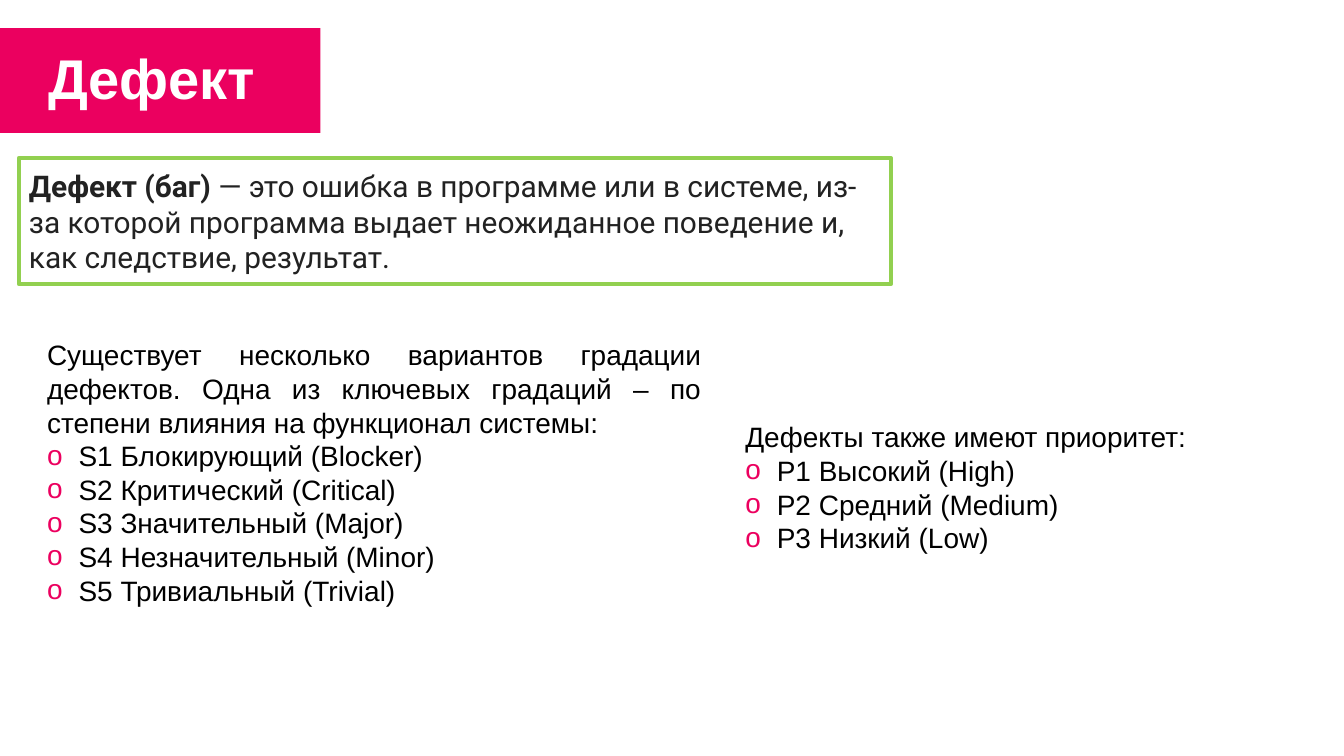
from lxml import etree
from pptx import Presentation
from pptx.dml.color import RGBColor
from pptx.enum.shapes import MSO_SHAPE
from pptx.enum.text import MSO_ANCHOR, PP_ALIGN
from pptx.oxml.ns import qn
from pptx.util import Pt

RECT = MSO_SHAPE.RECTANGLE
MIDDLE, TOP = MSO_ANCHOR.MIDDLE, MSO_ANCHOR.TOP
LEFT, JUSTIFY = PP_ALIGN.LEFT, PP_ALIGN.JUSTIFY
PX = 4572  # 200 px to the inch
PINK, BULLET = "EB005F", "EC005F"
INDENT = 47 * PX


def color(code):
    return RGBColor.from_string(code)


def write(para, text, size, font, code, bold=False):
    run = para.add_run()
    run.text = text
    run.font.size = Pt(size)
    run.font.name = font
    run.font.bold = bold
    run.font.color.rgb = color(code)


deck = Presentation()
deck.slide_width, deck.slide_height = 2000 * PX, 1125 * PX
slide = deck.slides.add_slide(deck.slide_layouts[6])
shapes = slide.shapes

# Title band
band = shapes.add_shape(RECT, -4 * PX, 42 * PX, 481 * PX, 156 * PX)
band.shadow.inherit = False
band.fill.solid()
band.fill.fore_color.rgb = color(PINK)
band.line.fill.background()

# Title
title = shapes.add_textbox(62 * PX, 37 * PX, 1432 * PX, 156 * PX)
write(title.text_frame.paragraphs[0], "Дефект", 30, "Arial", "FFFFFF", True)

# Framed definition
frame = shapes.add_shape(RECT, 28 * PX, 235 * PX, 1298 * PX, 188 * PX)
frame.shadow.inherit = False
frame.fill.solid()
frame.fill.fore_color.rgb = color("FFFFFF")
frame.line.color.rgb = color("92D050")
frame.line.width = Pt(2)
para = frame.text_frame.paragraphs[0]
para.alignment = LEFT
write(para, "Дефект (баг) ", 16, "Roboto", "222222", True)
write(para, "— это ошибка в программе или в системе, из-за которой программа "
      "выдает неожиданное поведение и, как следствие, результат.",
      16, "Roboto", "222222")

# Lists: an intro line, then bulleted levels
grades = shapes.add_textbox(62 * PX, 497 * PX, 990 * PX, 496 * PX)
ranks = shapes.add_textbox(1101 * PX, 619 * PX, 864 * PX, 252 * PX)
lists = [
    (grades, "Существует несколько вариантов градации дефектов. Одна из ключевых "
     "градаций – по степени влияния на функционал системы:",
     ["S1 Блокирующий (Blocker)", "S2 Критический (Critical)",
      "S3 Значительный (Major)", "S4 Незначительный (Minor)",
      "S5 Тривиальный (Trivial)"]),
    (ranks, "Дефекты также имеют приоритет:",
     ["P1 Высокий (High)", "P2 Средний (Medium)", "P3 Низкий (Low)"]),
]
for box, intro, items in lists:
    para = box.text_frame.paragraphs[0]
    para.alignment = JUSTIFY
    write(para, intro, 15, "Arial", "000000")
    for item in items:
        para = box.text_frame.add_paragraph()
        para.alignment = JUSTIFY
        write(para, item, 15, "Arial", "000000")
        props = para._p.get_or_add_pPr()
        props.set("marL", str(INDENT))
        props.set("indent", str(-INDENT))
        tint = etree.SubElement(props, qn("a:buClr"))
        etree.SubElement(tint, qn("a:srgbClr"), val=BULLET)
        etree.SubElement(props, qn("a:buFont"), typeface="Arial")
        etree.SubElement(props, qn("a:buChar"), char="o")

# Wrapping, anchors and insets
for box, anchor, pads in [
    (title, MIDDLE, (10, 10, 10, 10)),
    (frame, MIDDLE, (15, 8, 15, 8)),
    (grades, TOP, (8, 6, 8, 8)),
    (ranks, TOP, (8, 6, 8, 8)),
]:
    body = box.text_frame
    body.word_wrap = True
    body.vertical_anchor = anchor
    body.margin_left, body.margin_top, body.margin_right, body.margin_bottom = [
        pad * PX for pad in pads
    ]

deck.save("out.pptx")
